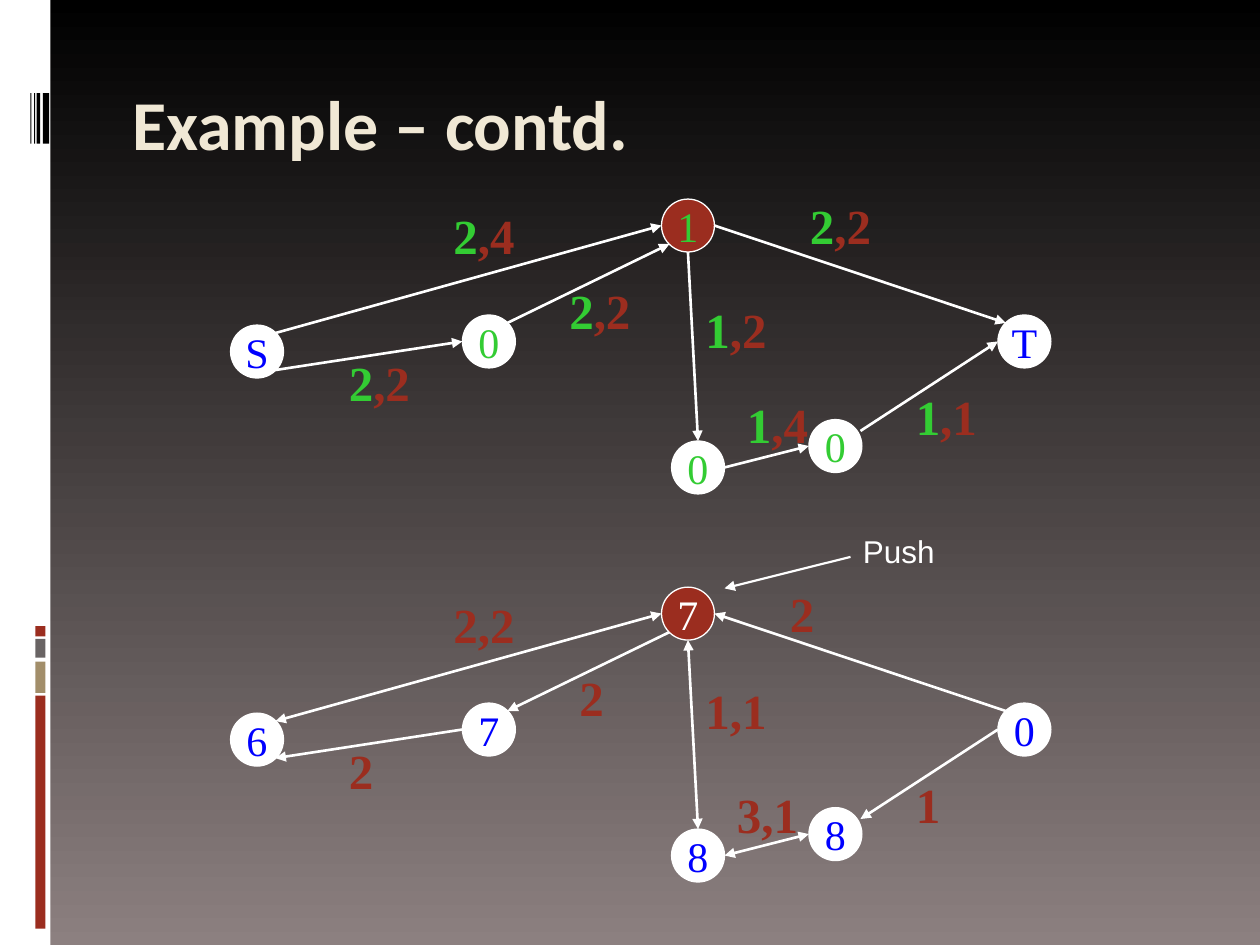
from pptx import Presentation
from pptx.dml.color import RGBColor
from pptx.enum.shapes import MSO_CONNECTOR, MSO_SHAPE
from pptx.enum.text import MSO_ANCHOR, PP_ALIGN
from pptx.oxml.ns import qn
from pptx.util import Inches, Pt
from lxml.etree import SubElement

WHITE = RGBColor(0xFF, 0xFF, 0xFF)
BLACK = RGBColor(0, 0, 0)
MAUVE = RGBColor(0x8C, 0x80, 0x80)
CREAM = RGBColor(0xF0, 0xE8, 0xD5)
RED = RGBColor(0x9B, 0x2D, 0x1F)
TAN = RGBColor(0xA2, 0x8E, 0x6A)
GRAY = RGBColor(0x69, 0x64, 0x64)
GREEN = RGBColor(0x33, 0xCC, 0x33)
BLUE = RGBColor(0, 0, 0xFF)

SERIF = "Times New Roman"
SIZE = 0.42
DROP = 3.08  # distance from the flow graph down to the residual graph

BARS = [
    (0, 0, 0.4, 7.5, WHITE),
    (0.28, 5.52, 0.08, 1.85, RED),
    (0.28, 5.25, 0.08, 0.25, TAN),
    (0.28, 5.07, 0.08, 0.15, GRAY),
    (0.28, 4.97, 0.08, 0.08, RED),
    (0.34, 0.74, 0.05, 0.4, BLACK),
    (0.29, 0.74, 0.03, 0.4, BLACK),
    (0.27, 0.74, 0.01, 0.4, BLACK),
    (0.24, 0.74, 0.01, 0.4, BLACK),
]

SPOTS = {
    "source": (1.83, 2.58),
    "left": (3.67, 2.5),
    "active": (5.25, 1.58),
    "low": (5.33, 3.5),
    "right": (6.42, 3.33),
    "sink": (7.92, 2.5),
}

# Points on a node's rim, in radii from its centre
N, E, S, W = (0, -1), (1, 0), (0, 1), (-1, 0)
NE, SE, SW, NW = (0.7, -0.7), (0.7, 0.7), (-0.7, 0.7), (-0.7, -0.7)
ENE = (0.95, -0.57)

EDGES = [
    ("source", NE, "active", W),
    ("source", SE, "left", W),
    ("left", NE, "active", SW),
    ("active", S, "low", N),
    ("active", E, "sink", NW),
    ("low", E, "right", W),
    ("right", ENE, "sink", W),
]

FLOW = {"source": ("S", BLUE), "left": ("0", GREEN), "active": ("1", GREEN),
        "low": ("0", GREEN), "right": ("0", GREEN), "sink": ("T", BLUE)}
REST = {"source": ("6", BLUE), "left": ("7", BLUE), "active": ("7", WHITE),
        "low": ("8", BLUE), "right": ("8", BLUE), "sink": ("0", BLUE)}

HEAD, TAIL, BOTH = ("headEnd",), ("tailEnd",), ("headEnd", "tailEnd")
REST_ENDS = [BOTH, HEAD, HEAD, BOTH, HEAD, BOTH, HEAD]

# Left, top, width, flow in green, rest in red
LABELS = [
    (3.5, 1.58, 0.75, "2", ",4"),
    (6.33, 1.5, 0.75, "2", ",2"),
    (4.42, 2.18, 0.75, "2", ",2"),
    (5.5, 2.33, 0.75, "1", ",2"),
    (2.67, 2.75, 0.75, "2", ",2"),
    (7.17, 3.02, 0.83, "1", ",1"),
    (5.83, 3.08, 0.83, "1", ",4"),
    (3.5, 4.67, 0.75, "", "2,2"),
    (6.17, 4.58, 0.42, "", "2"),
    (4.5, 5.25, 0.42, "", "2"),
    (5.5, 5.35, 0.75, "", "1,1"),
    (2.67, 5.83, 0.42, "", "2"),
    (7.17, 6.1, 0.42, "", "1"),
    (5.75, 6.18, 0.75, "", "3,1"),
]


def style(run, size, color, name=SERIF, bold=False):
    font = run.font
    font.size, font.name, font.bold = Pt(size), name, bold
    font.color.rgb = color


def add_back(slide):
    fill = slide.background.fill
    fill.gradient()
    fill.gradient_angle = 270
    for stop, color in zip(fill.gradient_stops, (BLACK, MAUVE)):
        stop.color.rgb = color


def add_solid(slide, kind, box, color):
    shape = slide.shapes.add_shape(kind, *map(Inches, box))
    shape.shadow.inherit = False
    shape.fill.solid()
    shape.fill.fore_color.rgb = color
    shape.line.fill.background()
    return shape


def add_title(slide, text):
    title = slide.shapes.title
    title.left, title.top = Inches(1), Inches(0.56)
    title.width, title.height = Inches(8.5), Inches(1)
    frame = title.text_frame
    frame.text = text
    frame.vertical_anchor = MSO_ANCHOR.TOP
    frame.margin_left, frame.margin_top = Inches(0.05), Inches(0.08)
    para = frame.paragraphs[0]
    para.alignment = PP_ALIGN.LEFT
    style(para.runs[0], 40, CREAM, "Calibri", True)


def add_arrow(slide, start, end, width=1.5, ends=TAIL):
    arrow = slide.shapes.add_connector(
        MSO_CONNECTOR.STRAIGHT, *map(Inches, (*start, *end)))
    arrow.line.color.rgb = WHITE
    arrow.line.width = Pt(width)
    props = arrow.line._get_or_add_ln()
    for tag in ends:
        SubElement(props, qn("a:" + tag), type="triangle")
    SubElement(arrow._element.spPr, qn("a:effectLst"))


def add_node(slide, left, top, text, color, fill):
    node = add_solid(slide, MSO_SHAPE.OVAL, (left, top, SIZE, SIZE), fill)
    node.line.color.rgb = WHITE
    node.line.width = Pt(0.75)
    frame = node.text_frame
    frame.text = text
    frame.word_wrap = False
    frame.vertical_anchor = MSO_ANCHOR.MIDDLE
    para = frame.paragraphs[0]
    para.alignment = PP_ALIGN.CENTER
    style(para.runs[0], 24, color)


def rim(name, port, drop):
    """Return the slide point of a port on a node's rim."""
    left, top = SPOTS[name]
    half = SIZE / 2
    return left + half * (1 + port[0]), top + drop + half * (1 + port[1])


def add_graph(slide, nodes, ends, drop=0):
    for (tail, out, head, into), tips in zip(EDGES, ends):
        add_arrow(slide, rim(tail, out, drop), rim(head, into, drop), ends=tips)
    for name, (text, color) in nodes.items():
        left, top = SPOTS[name]
        fill = RED if name == "active" else WHITE
        add_node(slide, left, top + drop, text, color, fill)


def add_text(slide, box, parts, size, name=SERIF, bold=False):
    """Add a text box from pairs of text and colour."""
    frame = slide.shapes.add_textbox(*map(Inches, box)).text_frame
    frame.word_wrap = True
    para = frame.paragraphs[0]
    for text, color in parts:
        if text:
            run = para.add_run()
            run.text = text
            style(run, size, color, name, bold)


def main():
    prs = Presentation()
    prs.slide_width, prs.slide_height = Inches(10), Inches(7.5)
    slide = prs.slides.add_slide(prs.slide_layouts[5])
    add_back(slide)
    for *box, color in BARS:
        add_solid(slide, MSO_SHAPE.RECTANGLE, box, color)
    add_title(slide, "Example – contd.")
    add_graph(slide, FLOW, [TAIL] * len(EDGES))
    add_graph(slide, REST, REST_ENDS, DROP)
    for left, top, width, flow, rest in LABELS:
        add_text(slide, (left, top, width, 0.57),
                 [(flow, GREEN), (rest, RED)], 28, bold=True)
    add_text(slide, (6.75, 4.17, 0.92, 0.4), [("Push", WHITE)], 18, "Arial")
    add_arrow(slide, (6.75, 4.42), (5.75, 4.67), 1.25)
    prs.save("out.pptx")


if __name__ == "__main__":
    main()
